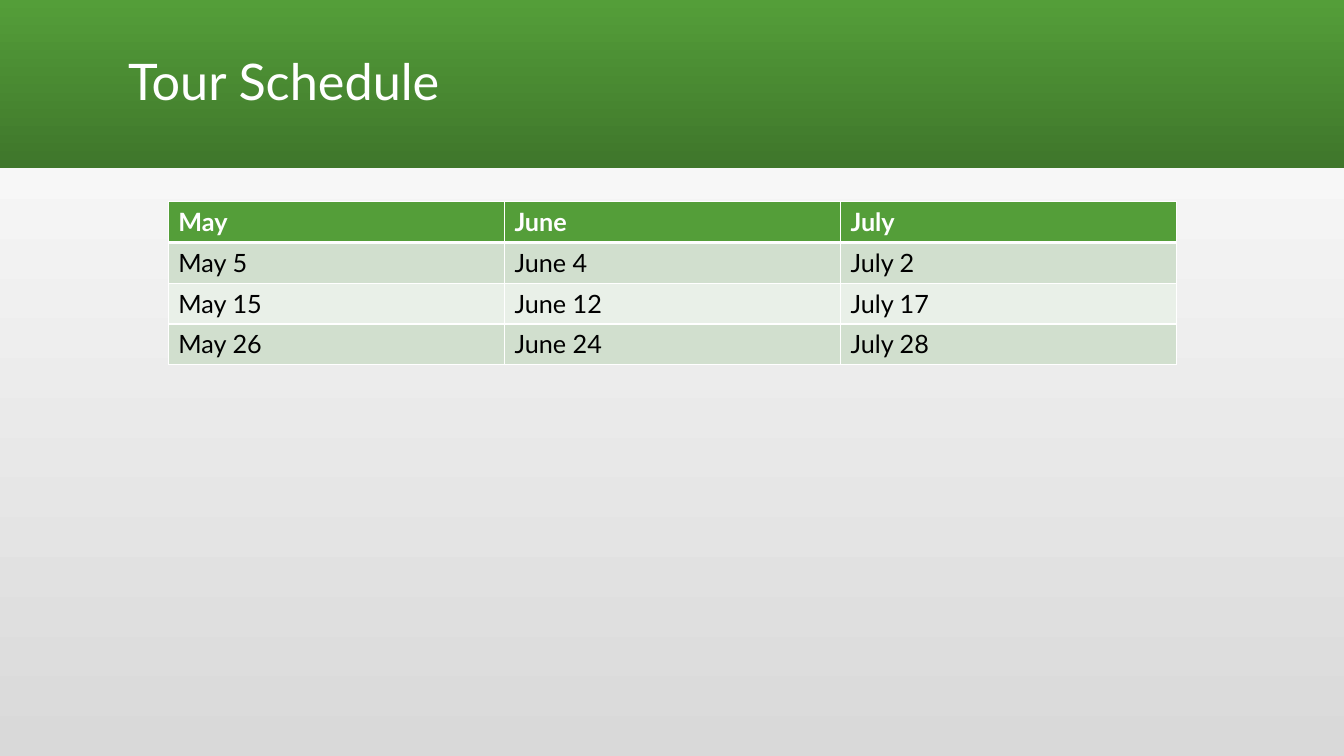
"""Build the tour schedule slide."""
from lxml import etree
from pptx import Presentation
from pptx.dml.color import RGBColor
from pptx.enum import shapes, text
from pptx.oxml import ns
from pptx.util import Inches, Pt

TITLE = "Tour Schedule"
ROWS = [
    ("May", "June", "July"),
    ("May 5", "June 4", "July 2"),
    ("May 15", "June 12", "July 17"),
    ("May 26", "June 24", "July 28"),
]
FONT = "Lato"
WHITE, BLACK, GREEN, DARK = "FFFFFF", "000000", "549E39", "3F762B"
GREY = "D9D9D9"
BANDS = ("E9F0E8", "D1DFCE")
WIDE, HIGH = 13.33, 7.5
TABLE = (1.67, 2, 10, 1.62)


def paint(target, color):
    target.rgb = RGBColor.from_string(color)


def blend(fill, colors, angle):
    fill.gradient()
    fill.gradient_angle = angle
    for stop, color in zip(fill.gradient_stops, colors):
        paint(stop.color, color)


def write(frame, words, size, color, bold=False):
    para = frame.paragraphs[0]
    para.alignment = text.PP_ALIGN.LEFT
    run = para.add_run()
    run.text = words
    run.font.name = FONT
    run.font.size = Pt(size)
    run.font.bold = bold
    paint(run.font.color, color)
    return para


def edge(cell, side, width):
    props = cell._tc.get_or_add_tcPr()
    line = etree.Element(ns.qn("a:" + side), w=str(Pt(width)))
    fill = etree.SubElement(line, ns.qn("a:solidFill"))
    etree.SubElement(fill, ns.qn("a:srgbClr"), val=WHITE)
    props.append(line)


def fill_cell(cell, words, row):
    head = row == 0
    for side in ("lnL", "lnR", "lnT", "lnB"):
        thick = (head and side == "lnB") or (row == 1 and side == "lnT")
        edge(cell, side, 3 if thick else 1)
    cell.fill.solid()
    paint(cell.fill.fore_color, GREEN if head else BANDS[row % 2])
    write(cell.text_frame, words, 18, WHITE if head else BLACK, head)


def main():
    deck = Presentation()
    deck.slide_width, deck.slide_height = Inches(WIDE), Inches(HIGH)
    slide = deck.slides.add_slide(deck.slide_layouts[5])
    blend(slide.background.fill, (GREY, WHITE), 90)

    title = slide.shapes.title
    title.left, title.top = Inches(1.17), Inches(0.11)
    title.width, title.height = Inches(11), Inches(1.45)
    title.text_frame.vertical_anchor = text.MSO_ANCHOR.MIDDLE
    write(title.text_frame, TITLE, 36, WHITE).line_spacing = 0.9

    band = slide.shapes.add_shape(
        shapes.MSO_SHAPE.RECTANGLE, 0, 0, Inches(WIDE), Inches(1.67))
    band.shadow.inherit = False
    band.line.fill.background()
    blend(band.fill, (GREEN, DARK), 270)
    title.element.addprevious(band.element)

    spot = [Inches(n) for n in TABLE]
    grid = slide.shapes.add_table(len(ROWS), len(ROWS[0]), *spot).table
    for r, row in enumerate(ROWS):
        for c, words in enumerate(row):
            fill_cell(grid.cell(r, c), words, r)

    deck.save("out.pptx")


if __name__ == "__main__":
    main()
